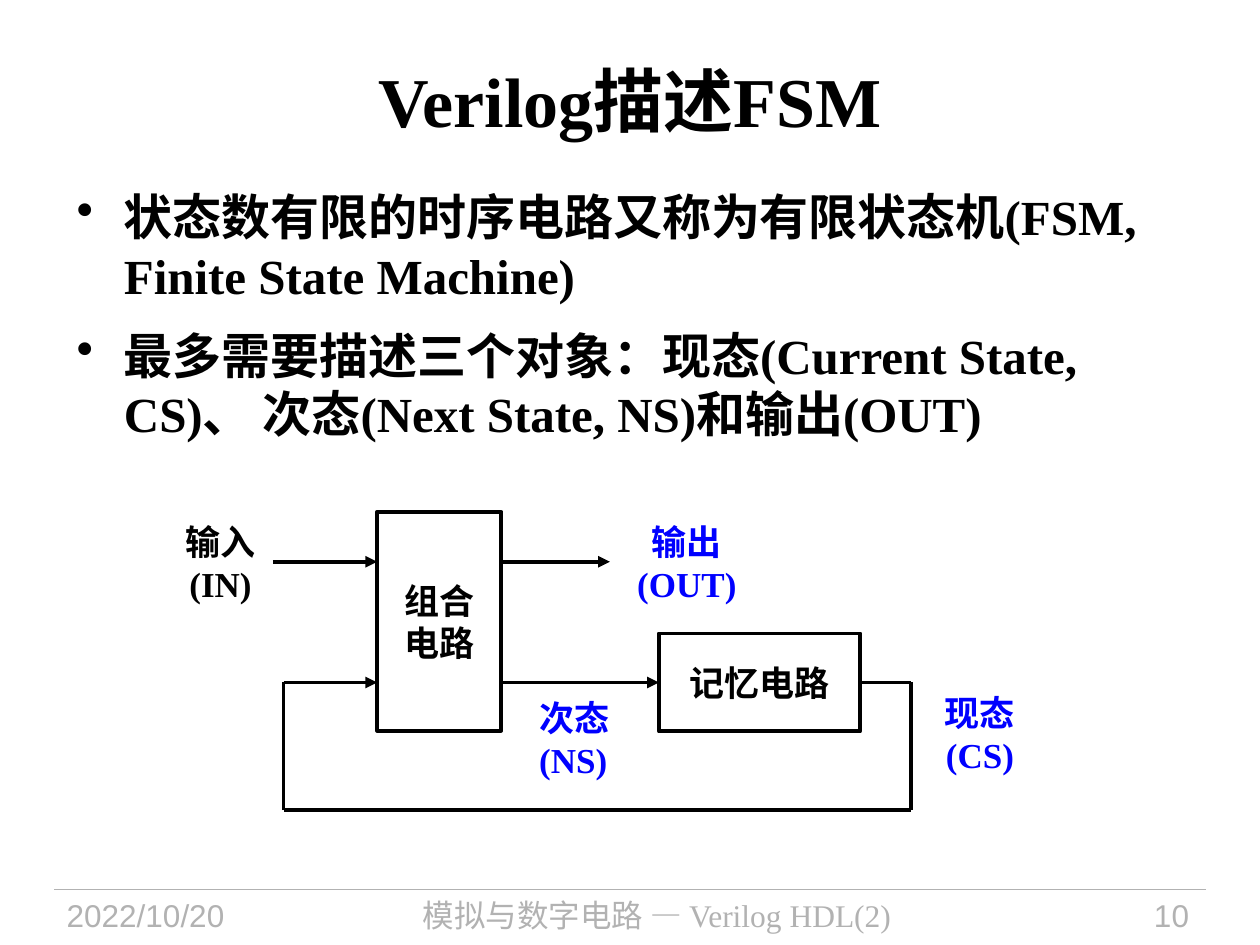
from pptx import Presentation
from pptx import util as u
from pptx.dml import color
from pptx.enum import shapes, text
from pptx.oxml import ns, xmlchemy

ALIGN = text.PP_ALIGN
ANCHOR = text.MSO_ANCHOR
SERIF, SANS = "Times New Roman", "Arial"
BLACK, BLUE, GREY = "000000", "0000FF", "B2B2B2"


def rgb(value):
    return color.RGBColor.from_string(value)


def apply(target, values):
    for name, value in values.items():
        setattr(target, name, value)


class Sketch:
    stroke = 2.25
    label_size = 20

    def __init__(self, page):
        self.page = page

    def fill_text(self, frame, lines, size, font=SERIF, ink=BLACK, bold=True,
                  align=ALIGN.CENTER, anchor=ANCHOR.TOP, wrap=True):
        apply(frame, {"word_wrap": wrap, "vertical_anchor": anchor,
                      "auto_size": text.MSO_AUTO_SIZE.NONE})
        for index, line in enumerate(lines):
            para = frame.add_paragraph() if index else frame.paragraphs[0]
            para.alignment = align
            span = para.add_run()
            span.text = line
            apply(span.font, {"size": u.Pt(size), "name": font, "bold": bold})
            span.font.color.rgb = rgb(ink)

    def title(self, line, *place):
        box = self.page.shapes.title
        apply(box, dict(zip(("left", "top", "width", "height"), map(u.Pt, place))))
        self.fill_text(box.text_frame, [line], 40, anchor=ANCHOR.MIDDLE)

    def label(self, lines, place, size=label_size, **style):
        box = self.page.shapes.add_textbox(*map(u.Pt, place))
        self.fill_text(box.text_frame, lines, size, **style)
        return box

    def bullets(self, lines, place, size, indent, gap):
        box = self.label(lines, place, size, align=ALIGN.LEFT)
        for para in box.text_frame.paragraphs:
            para.space_after = u.Pt(gap)
            properties = para._p.get_or_add_pPr()
            properties.set("marL", str(u.Pt(indent)))
            properties.set("indent", str(-u.Pt(indent)))
            mark = xmlchemy.OxmlElement("a:buChar")
            mark.set("char", "•")
            properties.append(mark)

    def block(self, lines, *place):
        box = self.page.shapes.add_shape(shapes.MSO_SHAPE.RECTANGLE, *map(u.Pt, place))
        box.shadow.inherit = False
        box.fill.solid()
        box.fill.fore_color.rgb = rgb("FFFFFF")
        box.line.color.rgb = rgb(BLACK)
        box.line.width = u.Pt(self.stroke)
        sides = ("left", "top", "right", "bottom")
        apply(box.text_frame, {f"margin_{side}": 0 for side in sides})
        self.fill_text(box.text_frame, lines, self.label_size, SANS,
                       anchor=ANCHOR.MIDDLE, wrap=False)
        return box

    def line(self, start, end, arrow=False, ink=BLACK, width=stroke):
        link = self.page.shapes.add_connector(
            shapes.MSO_CONNECTOR.STRAIGHT, *map(u.Pt, start + end))
        link.line.color.rgb = rgb(ink)
        link.line.width = u.Pt(width)
        if arrow:
            head = xmlchemy.OxmlElement("a:tailEnd")
            head.set("type", "triangle")
            link.line._ln.append(head)
        properties = link._element.find(ns.qn("p:spPr"))
        properties.append(xmlchemy.OxmlElement("a:effectLst"))
        return link


def main():
    deck = Presentation()
    apply(deck, {"slide_width": u.Pt(720), "slide_height": u.Pt(540)})
    sketch = Sketch(deck.slides.add_slide(deck.slide_layouts[5]))

    sketch.title("Verilog描述FSM", 36, 12, 648, 90)
    sketch.bullets([
        "状态数有限的时序电路又称为有限状态机(FSM, Finite State Machine)",
        "最多需要描述三个对象：现态(Current State, CS)、 次态(Next State, NS)和输出(OUT)",
    ], (36.7, 103, 641, 172), 28, 27, 12)

    logic_left, logic_right = 215.5, 286.5
    memory_left, memory_right = 376.5, 491.5
    signal_row, state_row, return_row = 321, 390, 463
    loop_left, loop_right = 162, 520.5

    sketch.block(["组合", "电路"], logic_left, 292.5, logic_right - logic_left, 125)
    memory = sketch.block(["记忆电路"], memory_left, state_row - 28,
                          memory_right - memory_left, 56)

    sketch.line((156, signal_row), (logic_left, signal_row), arrow=True)
    sketch.line((logic_right, signal_row), (348.5, signal_row), arrow=True)
    next_state = sketch.line((logic_right, state_row), (memory_left, state_row), arrow=True)
    next_state.end_connect(memory, 1)
    current_state = sketch.line((memory_right, state_row), (loop_right, state_row))
    current_state.begin_connect(memory, 3)
    sketch.line((loop_right, state_row), (loop_right, return_row))
    sketch.line((loop_right, return_row), (loop_left, return_row))
    sketch.line((loop_left, return_row), (loop_left, state_row))
    sketch.line((loop_left, state_row), (logic_left, state_row), arrow=True)

    sketch.label(["输入", "(IN)"], (90.5, 294, 71, 55))
    sketch.label(["输出", "(OUT)"], (351, 294, 83, 55), ink=BLUE)
    sketch.label(["次态", "(NS)"], (301, 394.5, 71, 55), ink=BLUE, align=ALIGN.LEFT)
    sketch.label(["现态", "(CS)"], (523.5, 391.5, 73, 55), ink=BLUE)

    footer_top = 508.3
    sketch.line((31, footer_top), (689, footer_top), ink=GREY, width=0.75)
    for line, left, width, font, align in (
        ("2022/10/20", 31, 135, SANS, ALIGN.LEFT),
        ("模拟与数字电路 — Verilog HDL(2)", 173, 405, SERIF, ALIGN.CENTER),
        ("10", 590.5, 96, SANS, ALIGN.RIGHT),
    ):
        sketch.label([line], (left, footer_top, width, 31.5), 18,
                     font=font, ink=GREY, bold=False, align=align)

    deck.save("out.pptx")


if __name__ == "__main__":
    main()
